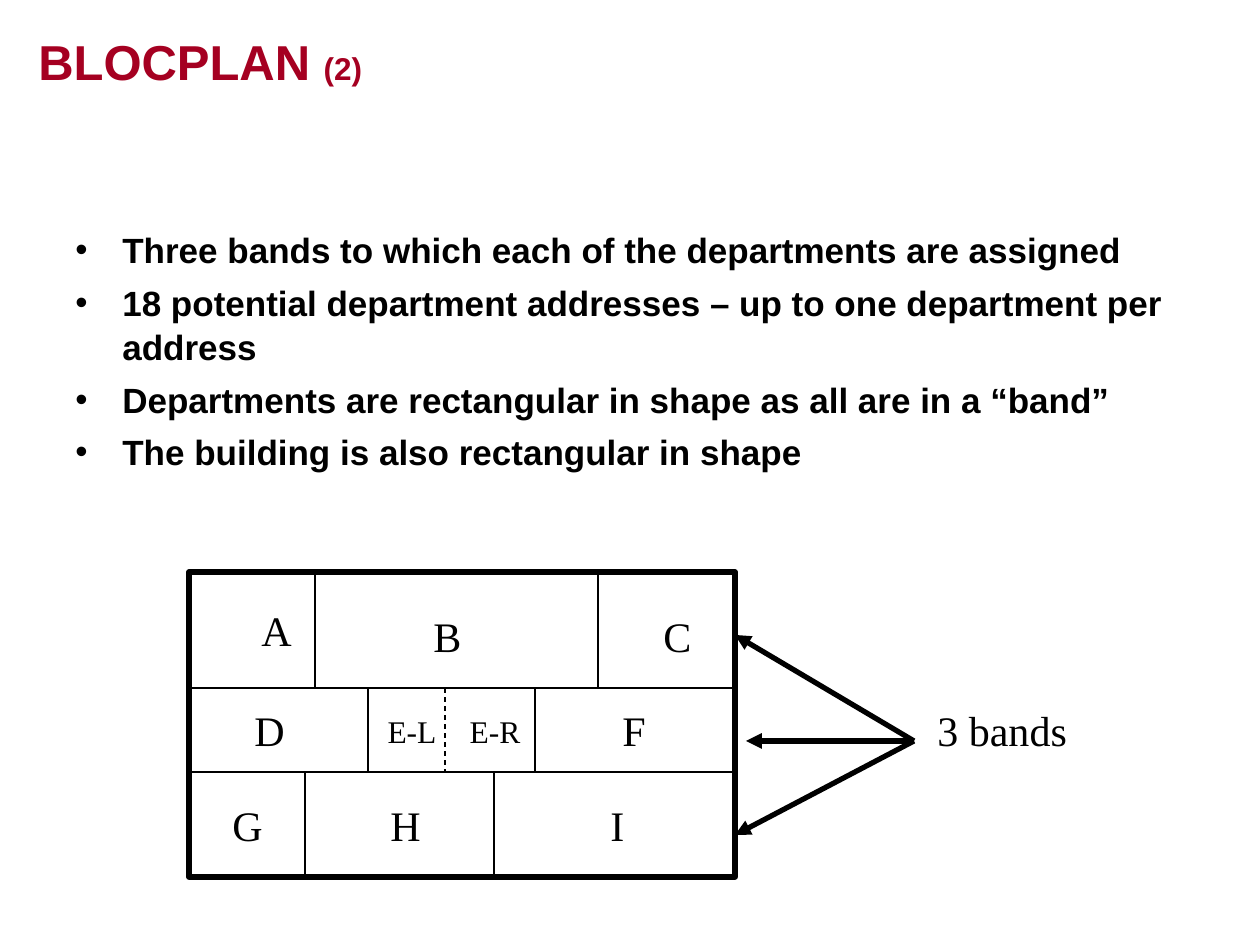
from lxml.etree import SubElement
from pptx import Presentation
from pptx.dml.color import RGBColor
from pptx.enum.dml import MSO_LINE
from pptx.enum.shapes import MSO_CONNECTOR, MSO_SHAPE
from pptx.enum.text import MSO_ANCHOR, PP_ALIGN
from pptx.oxml.ns import qn
from pptx.util import Emu, Pt

BLACK = RGBColor(0x00, 0x00, 0x00)
CRIMSON = RGBColor(0xA5, 0x00, 0x21)
PX_PER_INCH = 126

BULLETS = [
    "Three bands to which each of the departments are assigned",
    "18 potential department addresses – up to one department per address",
    "Departments are rectangular in shape as all are in a “band”",
    "The building is also rectangular in shape",
]

LEFT, RIGHT = 189, 735
# Each band: top, bottom, x of its dividers
BANDS = [
    (572, 688, [315, 598]),
    (688, 772, [368, 535]),
    (772, 877, [305, 494]),
]
# Each label: text, left, top, width
DEPARTMENTS = [
    ("A", 249, 598, 55), ("B", 421, 604, 53), ("C", 651, 604, 53),
    ("D", 242, 698, 55), ("F", 610, 698, 48),
    ("G", 220, 793, 55), ("H", 378, 793, 55), ("I", 598, 793, 39),
]
HALVES = [("E-L", 375, 706, 74), ("E-R", 457, 706, 76)]
ARROW_START = (914, 741)
ARROW_ENDS = [(735, 635), (746, 741), (735, 835)]


def px(length):
    return Emu(round(length * 914400 / PX_PER_INCH))


def add_text(paragraph, text, *, size, font, color=BLACK, bold=False):
    run = paragraph.add_run()
    run.text = text
    run.font.size = Pt(size)
    run.font.name = font
    run.font.bold = bold
    run.font.color.rgb = color


class SlideBuilder:
    """Holds the style and the slide being drawn."""

    heading_font = "Arial"
    label_font = "Times New Roman"
    thin, thick = Pt(0.75), Pt(3)

    def __init__(self, slide):
        self.slide = slide

    def text_frame(self, left, top, width, height, wrap=True):
        box = self.slide.shapes.add_textbox(px(left), px(top), px(width), px(height))
        box.text_frame.word_wrap = wrap
        return box.text_frame

    def title(self, name, suffix):
        frame = self.text_frame(26, 0, 1234, 121)
        frame.vertical_anchor = MSO_ANCHOR.MIDDLE
        for text, size in ((name, 28), (suffix, 18)):
            add_text(frame.paragraphs[0], text, size=size, font=self.heading_font,
                     color=CRIMSON, bold=True)

    def bullets(self, items):
        frame = self.text_frame(63, 220, 1134, 266)
        for index, item in enumerate(items):
            paragraph = frame.add_paragraph() if index else frame.paragraphs[0]
            properties = paragraph._p.get_or_add_pPr()
            properties.set("marL", str(px(47)))
            properties.set("indent", str(-px(47)))
            SubElement(properties, qn("a:buFont"), typeface=self.heading_font)
            SubElement(properties, qn("a:buChar"), char="•")
            paragraph.line_spacing = 1.05
            if index:
                paragraph.space_before = Pt(5)
            add_text(paragraph, item, size=20, font=self.heading_font, bold=True)

    def label(self, text, left, top, width, size=24, align=PP_ALIGN.LEFT):
        frame = self.text_frame(left, top, width, 63 if size == 24 else 50, wrap=False)
        frame.paragraphs[0].alignment = align
        add_text(frame.paragraphs[0], text, size=size, font=self.label_font)

    def outline(self, left, top, right, bottom):
        shape = self.slide.shapes.add_shape(
            MSO_SHAPE.RECTANGLE, px(left), px(top), px(right - left), px(bottom - top))
        shape.shadow.inherit = False
        shape.fill.background()
        shape.line.color.rgb = BLACK
        shape.line.width = self.thick

    def line(self, start, end, dashed=False, arrow=False):
        connector = self.slide.shapes.add_connector(
            MSO_CONNECTOR.STRAIGHT, *map(px, start + end))
        connector.line.color.rgb = BLACK
        connector.line.width = self.thick if arrow else self.thin
        if dashed:
            connector.line.dash_style = MSO_LINE.DASH
        if arrow:
            SubElement(connector.line._get_or_add_ln(), qn("a:tailEnd"), type="triangle")
        SubElement(connector._element.spPr, qn("a:effectLst"))


def main():
    presentation = Presentation()
    presentation.slide_width = px(1260)
    presentation.slide_height = px(945)
    builder = SlideBuilder(presentation.slides.add_slide(presentation.slide_layouts[6]))

    builder.title("BLOCPLAN ", "(2)")
    builder.bullets(BULLETS)

    builder.outline(LEFT, BANDS[0][0], RIGHT, BANDS[-1][1])
    for top, _, _ in BANDS[1:]:
        builder.line((LEFT, top), (RIGHT, top))
    for top, bottom, dividers in BANDS:
        for x in dividers:
            builder.line((x, top), (x, bottom))
    builder.line((445, 688), (445, 773), dashed=True)

    for department in DEPARTMENTS:
        builder.label(*department)
    for half in HALVES:
        builder.label(*half, size=18, align=PP_ALIGN.CENTER)

    for end in ARROW_ENDS:
        builder.line(ARROW_START, end, arrow=True)
    builder.label("3 bands", 925, 698, 165)

    presentation.save("out.pptx")


if __name__ == "__main__":
    main()
